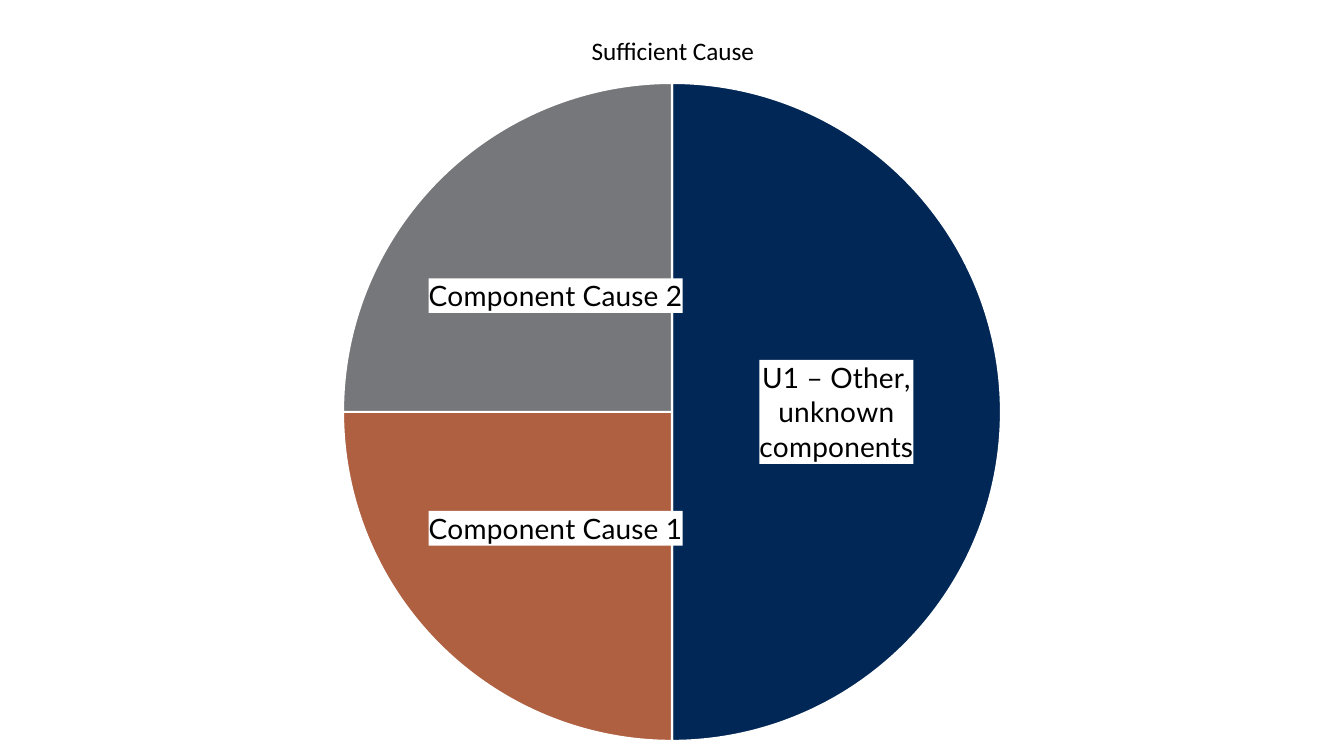
"""Build a slide with a pie chart of a sufficient cause and its components."""
from lxml import etree
from pptx import Presentation
from pptx import util as u
from pptx.chart.data import CategoryChartData
from pptx.dml.color import RGBColor
from pptx.enum import chart as ch
from pptx.oxml import ns

COLORS = {"navy": "002756", "rust": "AE6041", "gray": "76777A",
          "white": "FFFFFF", "black": "000000"}
TITLE = "Sufficient Cause"
CAUSES = [
    ("U1 – Other, unknown components", 50, "navy", "square"),
    ("Component Cause 1", 25, "rust", "none"),
    ("Component Cause 2", 25, "gray", "none"),
]
SLIDE = (1344, 756)
FRAME = (105, 0, 1134, 756)
PIE = (343, 83, 658, 658)
TITLE_AT = (587, 29)
PX = 9071


def rgb(name):
    return RGBColor.from_string(COLORS[name])


def style_font(font, face, size):
    font.name = face
    font.size = u.Pt(size)
    font.bold = False
    font.color.rgb = rgb("black")


def place(part, index, left, top, size=()):
    """Put a chart part at px positions on the slide."""
    for old in part.findall(ns.qn("c:layout")):
        part.remove(old)
    layout = etree.Element(ns.qn("c:layout"))
    manual = etree.SubElement(layout, ns.qn("c:manualLayout"))
    values = [("xMode", "edge"), ("yMode", "edge"),
              ("x", (left - FRAME[0]) / FRAME[2]), ("y", (top - FRAME[1]) / FRAME[3])]
    if size:
        values.insert(0, ("layoutTarget", "inner"))
        values += [("w", size[0] / FRAME[2]), ("h", size[1] / FRAME[3])]
    for tag, value in values:
        etree.SubElement(manual, ns.qn(f"c:{tag}")).set("val", str(value))
    part.insert(index, layout)


def add_label(point, wrap):
    """Label a slice with its category on a white ground."""
    label = point.data_label
    style_font(label.font, "Lato", 20)
    label.position = ch.XL_LABEL_POSITION.CENTER
    slice_label = point._ser.find(".//" + ns.qn("c:dLbls")).findall(ns.qn("c:dLbl"))[-1]
    slice_label.find(ns.qn("c:showVal")).set("val", "0")
    slice_label.find(ns.qn("c:showCatName")).set("val", "1")
    label_text = slice_label.find(ns.qn("c:txPr"))
    label_text.find(ns.qn("a:bodyPr")).set("wrap", wrap)
    ground = etree.Element(ns.qn("c:spPr"))
    fill = etree.SubElement(ground, ns.qn("a:solidFill"))
    etree.SubElement(fill, ns.qn("a:srgbClr")).set("val", COLORS["white"])
    label_text.addprevious(ground)


def main():
    deck = Presentation()
    deck.slide_width, deck.slide_height = (u.Emu(side * PX) for side in SLIDE)
    slide = deck.slides.add_slide(deck.slide_layouts[6])

    data = CategoryChartData()
    data.categories = [cause[0] for cause in CAUSES]
    data.add_series("Series 1", [cause[1] for cause in CAUSES])
    frame = [u.Emu(side * PX) for side in FRAME]
    chart = slide.shapes.add_chart(ch.XL_CHART_TYPE.PIE, *frame, data).chart
    style_font(chart.font, "Calibri", 10)
    chart.has_legend = False

    chart.has_title = True
    heading = chart.chart_title.text_frame.paragraphs[0].add_run()
    heading.text = TITLE
    style_font(heading.font, "Calibri", 18)
    place(chart.chart_title._element, 1, *TITLE_AT)

    pie = chart.plots[0]
    pie.vary_by_categories = True
    place(chart._chartSpace.find(".//" + ns.qn("c:plotArea")), 0, *PIE[:2], PIE[2:])
    for index, (_, _, color, wrap) in enumerate(CAUSES):
        point = pie.series[0].points[index]
        point.format.fill.solid()
        point.format.fill.fore_color.rgb = rgb(color)
        point.format.line.color.rgb = rgb("white")
        point.format.line.width = u.Pt(1.5)
        add_label(point, wrap)

    deck.save("out.pptx")


if __name__ == "__main__":
    main()
